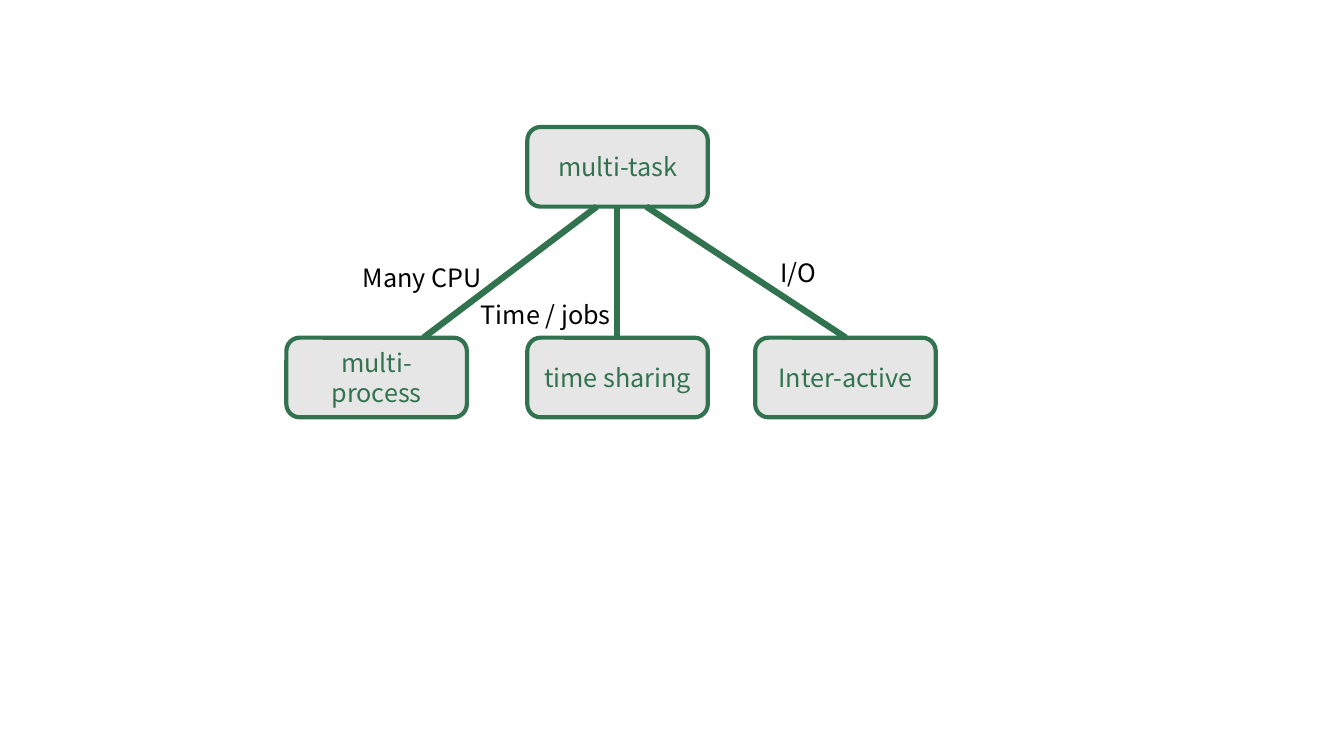
from dataclasses import dataclass
from lxml.etree import SubElement
from pptx import Presentation
from pptx.dml.color import RGBColor
from pptx.enum.shapes import MSO_CONNECTOR, MSO_SHAPE
from pptx.enum.text import MSO_ANCHOR, MSO_AUTO_SIZE, PP_ALIGN
from pptx.oxml.ns import qn
from pptx.util import Inches, Pt


@dataclass(frozen=True)
class Theme:
    green: RGBColor = RGBColor(0x31, 0x73, 0x4F)
    gray: RGBColor = RGBColor(0xE7, 0xE6, 0xE6)
    black: RGBColor = RGBColor(0, 0, 0)
    font: str = "Noto Sans CJK KR"
    size: Pt = Pt(18)
    border: Pt = Pt(3)
    branch: Pt = Pt(4.5)


def apply(target, formats):
    for attribute, value in formats.items():
        setattr(target, attribute, value)


class TreeSlide:
    def __init__(self, slide, theme):
        self.shapes = slide.shapes
        self.theme = theme

    def add_text(self, frame, text, color, align, **formats):
        apply(frame, formats)
        paragraph = frame.paragraphs[0]
        paragraph.alignment = align
        run = paragraph.add_run()
        run.text = text
        apply(run.font, {"name": self.theme.font, "size": self.theme.size})
        run.font.color.rgb = color

    def stroke(self, line, width):
        line.color.rgb = self.theme.green
        line.width = width

    def node(self, text, left, top, width, height):
        box = self.shapes.add_shape(
            MSO_SHAPE.ROUNDED_RECTANGLE, *map(Inches, (left, top, width, height)))
        box.shadow.inherit = False
        box.fill.solid()
        box.fill.fore_color.rgb = self.theme.gray
        self.stroke(box.line, self.theme.border)
        self.add_text(box.text_frame, text, self.theme.green, PP_ALIGN.CENTER,
                      word_wrap=True, vertical_anchor=MSO_ANCHOR.MIDDLE)

    def branch(self, start_x, start_y, end_x, end_y):
        link = self.shapes.add_connector(
            MSO_CONNECTOR.STRAIGHT, *map(Inches, (start_x, start_y, end_x, end_y)))
        self.stroke(link.line, self.theme.branch)
        SubElement(link.element.spPr, qn("a:effectLst"))

    def label(self, text, left, top, width, height=0.4):
        caption = self.shapes.add_textbox(*map(Inches, (left, top, width, height)))
        self.add_text(caption.text_frame, text, self.theme.black, PP_ALIGN.LEFT,
                      word_wrap=False, auto_size=MSO_AUTO_SIZE.SHAPE_TO_FIT_TEXT)


deck = Presentation()
apply(deck, {"slide_width": Inches(13.33), "slide_height": Inches(7.5)})
tree = TreeSlide(deck.slides.add_slide(deck.slide_layouts[6]), Theme())

NODE_SIZE = (1.79, 0.79)
ROOT_LEFT, ROOT_TOP, CHILD_TOP = 5.23, 1.26, 3.35
ROOT_BOTTOM = ROOT_TOP + NODE_SIZE[1]

CHILDREN = [
    ("multi-process", 2.84, (5.92, 4.2), ("Many CPU", 3.5, 2.55, 1.4)),
    ("time sharing", ROOT_LEFT, (6.12, 6.12), ("Time / jobs", 4.67, 2.92, 1.51)),
    ("Inter-active", 7.49, (6.41, 8.39), ("I/O", 7.64, 2.5, 0.56)),
]

tree.node("multi-task", ROOT_LEFT, ROOT_TOP, *NODE_SIZE)
for name, left, (start_x, end_x), reason in CHILDREN:
    tree.node(name, left, CHILD_TOP, *NODE_SIZE)
    tree.branch(start_x, ROOT_BOTTOM, end_x, CHILD_TOP)
    tree.label(*reason)

deck.save("out.pptx")
